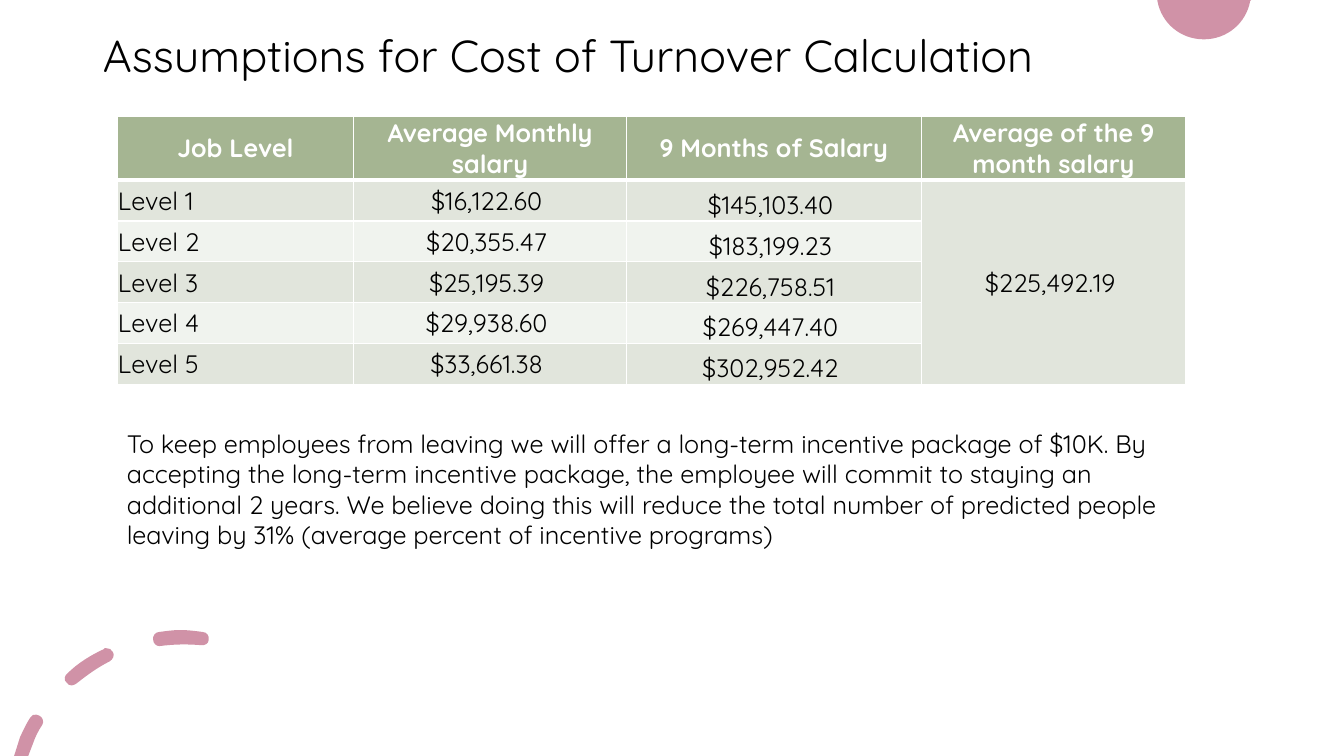
from lxml import etree
from pptx import Presentation
from pptx.dml.color import RGBColor
from pptx.enum.text import MSO_ANCHOR as Anchor, MSO_AUTO_SIZE as Fit, PP_ALIGN as Align
from pptx.oxml.ns import qn
from pptx.util import Inches, Pt

# Content
TITLE = "Assumptions for Cost of Turnover Calculation"
HEADS = ["Job Level", "Average Monthly salary", "9 Months of Salary",
         "Average of the 9 month salary"]
LEVELS = [
    ("Level 1", "$16,122.60 ", "$145,103.40 "),
    ("Level 2", "$20,355.47 ", "$183,199.23 "),
    ("Level 3", "$25,195.39 ", "$226,758.51 "),
    ("Level 4", "$29,938.60 ", "$269,447.40 "),
    ("Level 5", "$33,661.38 ", "$302,952.42 "),
]
MEAN = "$225,492.19 "
NOTE = ("To keep employees from leaving we will offer a long-term incentive package of $10K. "
        "By accepting the long-term incentive package, the employee will commit to staying "
        "an additional 2 years. We believe doing this will reduce the total number of "
        "predicted people leaving by 31% (average percent of incentive programs)")

FONT = "Quicksand"
BLACK, WHITE, PINK, GREEN = "000000", "FFFFFF", "D092A7", "A5B592"
BANDS = ["E1E5DC", "F0F3EE"]
WIDTHS = [2.35, 2.7, 2.93, 2.62]
LEFT, WIDE, TALL = 1.16, 10.6, 2.43

# Outlines: a start point, then lines (one point) or curves (three points)
DISC = [[(11.48, 0), [(12.41, 0)], [(12.4, 0.01)],
         [(12.36, 0.23), (12.17, 0.39), (11.94, 0.39)],
         [(11.71, 0.39), (11.52, 0.23), (11.48, 0.01)]]]
DASHES = [
    [(0.36, 7.09), [(0.34, 7.08), (0.31, 7.1), (0.3, 7.12)],
     [(0.26, 7.18), (0.23, 7.25), (0.2, 7.31)], [(0.14, 7.5)], [(0.28, 7.5)], [(0.33, 7.37)],
     [(0.35, 7.31), (0.38, 7.25), (0.42, 7.19)], [(0.44, 7.16), (0.42, 7.11), (0.39, 7.1)],
     [(0.38, 7.09), (0.37, 7.09), (0.36, 7.09)]],
    [(1.05, 6.43), [(1.04, 6.43), (1.03, 6.43), (1.03, 6.44)],
     [(0.9, 6.5), (0.77, 6.58), (0.67, 6.68)], [(0.64, 6.7), (0.63, 6.75), (0.66, 6.77)],
     [(0.67, 6.79), (0.69, 6.8), (0.71, 6.8)], [(0.73, 6.8), (0.74, 6.79), (0.76, 6.78)],
     [(0.86, 6.7), (0.97, 6.62), (1.09, 6.56)], [(1.12, 6.54), (1.14, 6.5), (1.12, 6.47)],
     [(1.11, 6.44), (1.08, 6.43), (1.05, 6.43)]],
    [(1.79, 6.25), [(1.72, 6.25), (1.65, 6.26), (1.58, 6.27)],
     [(1.54, 6.27), (1.51, 6.31), (1.52, 6.35)], [(1.52, 6.38), (1.55, 6.41), (1.58, 6.41)],
     [(1.73, 6.39), (1.86, 6.39), (1.99, 6.4)], [(2.03, 6.41), (2.07, 6.38), (2.07, 6.35)],
     [(2.08, 6.31), (2.05, 6.27), (2.01, 6.27)], [(1.94, 6.26), (1.86, 6.25), (1.79, 6.25)]],
]


def color(code):
    return RGBColor.from_string(code)


def write(frame, text, size=18, tint=BLACK, bold=False, align=Align.LEFT):
    frame.text = text
    para = frame.paragraphs[0]
    para.alignment = align
    font = para.runs[0].font
    font.name, font.size, font.bold = FONT, Pt(size), bold
    font.color.rgb = color(tint)
    return para


def bend(shape, steps):
    """Join the three lines of each curve step into one cubic curve."""
    lines = iter(list(shape._element.iter(qn("a:lnTo"))))
    for step in steps:
        first, *rest = [next(lines) for _ in step]
        if rest:
            curve = etree.Element(qn("a:cubicBezTo"))
            first.addprevious(curve)
            for line in (first, *rest):
                curve.append(line[0])
                line.getparent().remove(line)


def draw(shapes, loops):
    pen = None
    for loop in loops:
        start, *steps = loop
        first = [Inches(v) for v in start]
        if pen is None:
            pen = shapes.build_freeform(*first)
        else:
            pen.move_to(*first)
        pen.add_line_segments([(Inches(x), Inches(y)) for step in steps for x, y in step])
    shape = pen.convert_to_shape()
    bend(shape, [step for loop in loops for step in loop[1:]])
    shape.shadow.inherit = False
    shape.fill.solid()
    shape.fill.fore_color.rgb = color(PINK)
    shape.line.fill.background()


def edge(cell, sides):
    props = cell._tc.get_or_add_tcPr()
    for side, width in sides.items():
        line = etree.SubElement(props, qn("a:ln" + side), w=str(Pt(width)))
        fill = etree.SubElement(line, qn("a:solidFill"))
        etree.SubElement(fill, qn("a:srgbClr"), val=WHITE)


def build_table(shapes):
    rows = [HEADS] + [(*level, MEAN if i == 0 else "") for i, level in enumerate(LEVELS)]
    table = shapes.add_table(len(rows), len(HEADS), Inches(LEFT), Inches(1.15),
                             Inches(WIDE), Inches(TALL)).table
    for col, width in zip(table.columns, WIDTHS):
        col.width = Inches(width)
    for r, row in enumerate(rows):
        for c, text in enumerate(row):
            cell, head = table.cell(r, c), r == 0
            cell.margin_left = cell.margin_right = cell.margin_top = Inches(0.01)
            cell.margin_bottom = 0
            cell.vertical_anchor = Anchor.BOTTOM if c == 2 and not head else Anchor.MIDDLE
            edge(cell, {"L": 1, "R": 1, "T": 3 if r == 1 else 1, "B": 3 if head else 1})
            cell.fill.solid()
            cell.fill.fore_color.rgb = color(GREEN if head else BANDS[(r - 1) % 2])
            if text:
                write(cell.text_frame, text, tint=WHITE if head else BLACK, bold=head,
                      align=Align.CENTER if head or c else Align.LEFT)
    table.cell(1, 3).merge(table.cell(len(LEVELS), 3))


def main():
    deck = Presentation()
    deck.slide_width, deck.slide_height = Inches(13.33), Inches(7.5)
    slide = deck.slides.add_slide(deck.slide_layouts[5])
    shapes = slide.shapes

    # Decoration
    draw(shapes, DISC)
    draw(shapes, DASHES)

    # Title
    title = shapes.title
    title.left, title.top = Inches(0.92), Inches(0.14)
    title.width, title.height = Inches(11.5), Inches(0.88)
    title.text_frame.auto_size = Fit.NONE
    title.text_frame.vertical_anchor = Anchor.MIDDLE
    write(title.text_frame, TITLE, size=32).line_spacing = 0.9

    # Salary table
    build_table(shapes)

    # Note below the table
    note = shapes.add_textbox(Inches(LEFT), Inches(4.2), Inches(WIDE), Inches(1.31))
    note.text_frame.word_wrap = True
    note.text_frame.auto_size = Fit.SHAPE_TO_FIT_TEXT
    write(note.text_frame, NOTE)

    deck.save("out.pptx")


if __name__ == "__main__":
    main()
